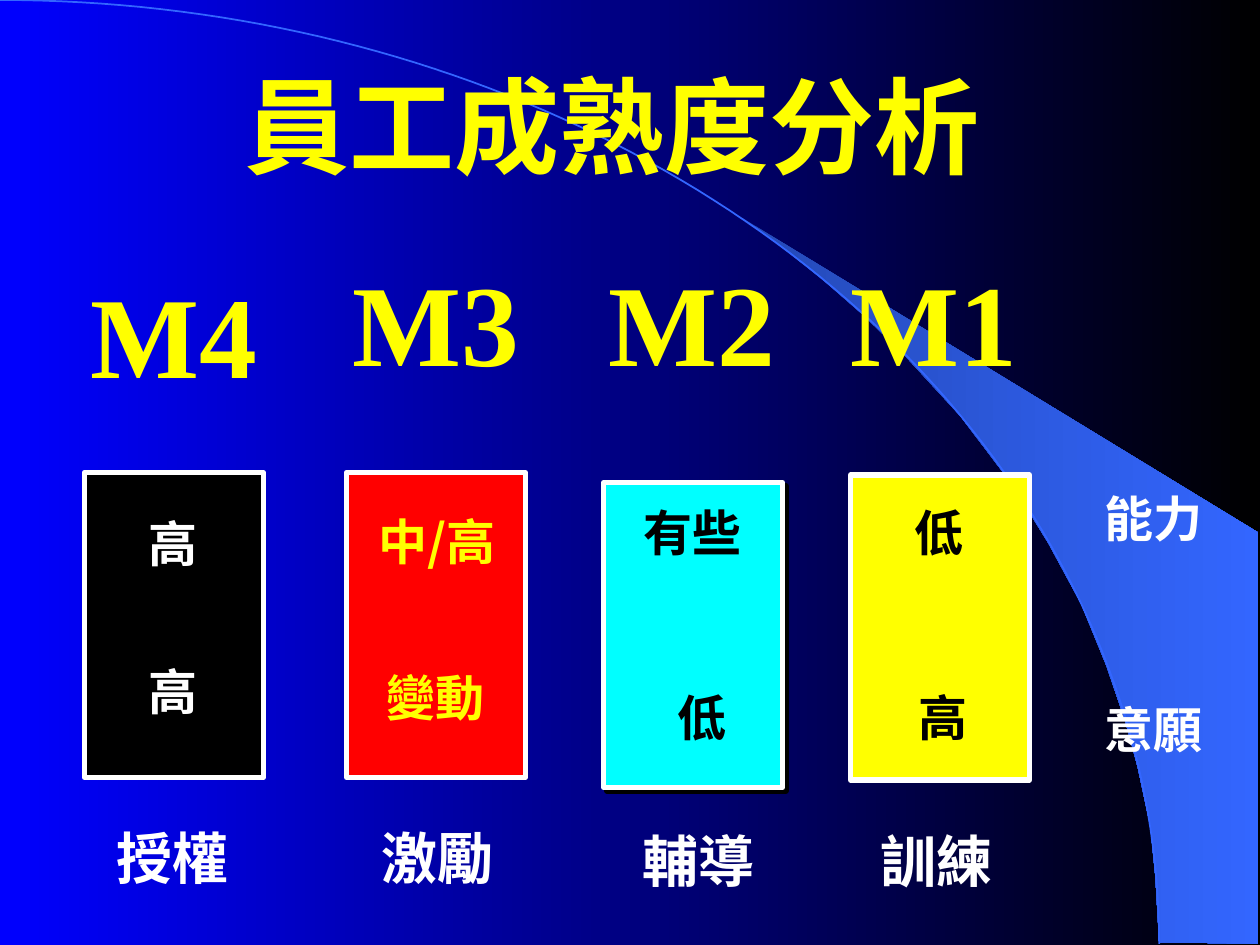
"""Build the employee maturity analysis slide with its four M columns."""
import math
import pptx
import pptx.dml.color
import pptx.enum.text
import pptx.oxml
import pptx.oxml.ns
import pptx.util
from pptx.util import Inches

THEME = {
    "cjk": "Noto Sans CJK SC", "latin": "Times New Roman",
    "title": 60, "level": 66, "action": 32, "label": 28,
    "yellow": "FFFF00", "white": "FFFFFF", "black": "000000", "red": "FF0000",
    "cyan": "00FFFF", "blue": "0000FF", "arc": "3366FF", "wing": "2449B6",
}
TITLE = "員工成熟度分析"
AXES = [("能力", 8.67, 3.83), ("意願", 8.67, 5.5)]
COLUMNS = [
    {"level": ("M1", 6.64, 1.94), "action": ("訓練", 6.89, 6.51),
     "card": (6.75, 3.77), "fill": "yellow", "ink": "black",
     "ratings": [("低", 7.16, 3.94), ("高", 7.19, 5.41)]},
    {"level": ("M2", 4.72, 1.94), "action": ("輔導", 5, 6.51),
     "card": (4.79, 3.83), "fill": "cyan", "ink": "black", "shadow": True,
     "ratings": [("有些", 5.01, 3.94), ("低", 5.28, 5.41)]},
    {"level": ("M3", 2.69, 1.94), "action": ("激勵", 2.93, 6.49),
     "card": (2.75, 3.75), "fill": "red", "ink": "yellow",
     "ratings": [("中/高", 2.91, 4.01), ("變動", 2.97, 5.25)]},
    {"level": ("M4", 0.61, 2.04), "action": ("授權", 0.83, 6.49),
     "card": (0.67, 3.75), "fill": "black", "ink": "white",
     "ratings": [("高", 1.08, 4.03), ("高", 1.08, 5.2)]},
]
CARD_SIZE = (1.42, 2.42)
LABEL_SIZES = {1: (0.59, 0.57), 2: (0.98, 0.57), 3: (1.17, 0.57)}
ACTION_SIZE = (1.1, 0.64)
LEVEL_SIZE = (1.54, 1.21)
ARC_RADII = (9.2, 7.49)
ARC_STEPS = 90
WING = [
    (9.2, 7.48), (9.99, 7.49), (9.99, 4.23), (5.89, 1.73), (6.24, 1.99), (6.53, 2.22),
    (6.85, 2.5), (7.16, 2.8), (7.62, 3.3), (8.03, 3.84), (8.32, 4.31), (8.58, 4.79),
    (8.78, 5.28), (8.93, 5.72), (9.03, 6.09), (9.13, 6.56), (9.17, 6.96),
]


def color(name):
    return pptx.dml.color.RGBColor.from_string(THEME[name])


def fill_gradient(fill, *names):
    fill.gradient()
    fill.gradient_angle = 0
    for stop, name, position in zip(fill.gradient_stops, names, (0, 1)):
        stop.color.rgb = color(name)
        stop.position = position


def write_text(frame, text, *, size, ink, font="cjk", centered=False, wrap=False):
    frame.word_wrap = wrap
    frame.auto_size = pptx.enum.text.MSO_AUTO_SIZE.NONE
    para = frame.paragraphs[0]
    align = pptx.enum.text.PP_ALIGN
    para.alignment = align.CENTER if centered else align.LEFT
    span = para.add_run()
    span.text = text
    span.font.size = pptx.util.Pt(THEME[size])
    span.font.bold = True
    span.font.color.rgb = color(ink)
    span.font.name = THEME[font]
    east_asian = pptx.oxml.parse_xml(
        f'<a:ea {pptx.oxml.ns.nsdecls("a")} typeface="{THEME[font]}"/>')
    span.font._element.find(pptx.oxml.ns.qn("a:latin")).addnext(east_asian)


def add_label(page, label, dimensions, **text_format):
    text, left, top = label
    box = page.shapes.add_textbox(*map(Inches, (left, top, *dimensions)))
    write_text(box.text_frame, text, **text_format)
    return box


def add_outline(page, points, close):
    builder = page.shapes.build_freeform(*map(Inches, points[0]))
    builder.add_line_segments([tuple(map(Inches, point)) for point in points[1:]], close=close)
    shape = builder.convert_to_shape()
    shape.shadow.inherit = False
    return shape


def add_backdrop(page):
    fill_gradient(page.background.fill, "blue", "black")
    wing = add_outline(page, WING, True)
    fill_gradient(wing.fill, "wing", "arc")
    wing.line.fill.background()
    width, height = ARC_RADII
    angles = [math.pi / 2 * step / ARC_STEPS for step in range(ARC_STEPS + 1)]
    arc = add_outline(
        page, [(width * math.sin(a), height * (1 - math.cos(a))) for a in angles], False)
    arc.fill.background()
    arc.line.color.rgb = color("arc")
    arc.line.width = pptx.util.Pt(1)


def add_card(page, column):
    card = page.shapes.add_shape(
        pptx.enum.shapes.MSO_SHAPE.RECTANGLE, *map(Inches, column["card"] + CARD_SIZE))
    card.shadow.inherit = False
    card.fill.solid()
    card.fill.fore_color.rgb = color(column["fill"])
    card.line.color.rgb = color("white")
    card.line.width = pptx.util.Pt(3)
    if column.get("shadow"):
        effects = card._element.spPr.find(pptx.oxml.ns.qn("a:effectLst"))
        effects.append(pptx.oxml.parse_xml(
            f'<a:outerShdw {pptx.oxml.ns.nsdecls("a")} dist="{pptx.util.Pt(2.8)}" '
            f'dir="{45 * 60000}" algn="ctr" rotWithShape="0">'
            f'<a:srgbClr val="{THEME["black"]}"/></a:outerShdw>'))


def add_column(page, column):
    add_card(page, column)
    for rating in column["ratings"]:
        length = len(rating[0])
        box = add_label(page, rating, LABEL_SIZES[length], size="label",
                        ink=column["ink"], wrap=length > 2)
        box.fill.solid()
        box.fill.fore_color.rgb = color(column["fill"])
    add_label(page, column["action"], ACTION_SIZE, size="action", ink="white")
    add_label(page, column["level"], LEVEL_SIZE, size="level", ink="yellow",
              font="latin", centered=True)


def main():
    deck = pptx.Presentation()
    deck.slide_width, deck.slide_height = Inches(10), Inches(7.5)
    page = deck.slides.add_slide(deck.slide_layouts.get_by_name("Title Only"))
    add_backdrop(page)
    title = page.shapes.title
    title.left, title.top, title.width, title.height = map(Inches, (0.61, 0.36, 8.5, 1.25))
    title.text_frame.vertical_anchor = pptx.enum.text.MSO_ANCHOR.MIDDLE
    write_text(title.text_frame, TITLE, size="title", ink="yellow", centered=True, wrap=True)
    page.shapes._spTree.append(title._element)
    for axis in AXES:
        add_label(page, axis, LABEL_SIZES[2], size="label", ink="white")
    for column in COLUMNS:
        add_column(page, column)
    deck.save("out.pptx")


if __name__ == "__main__":
    import pptx.enum.shapes
    main()
